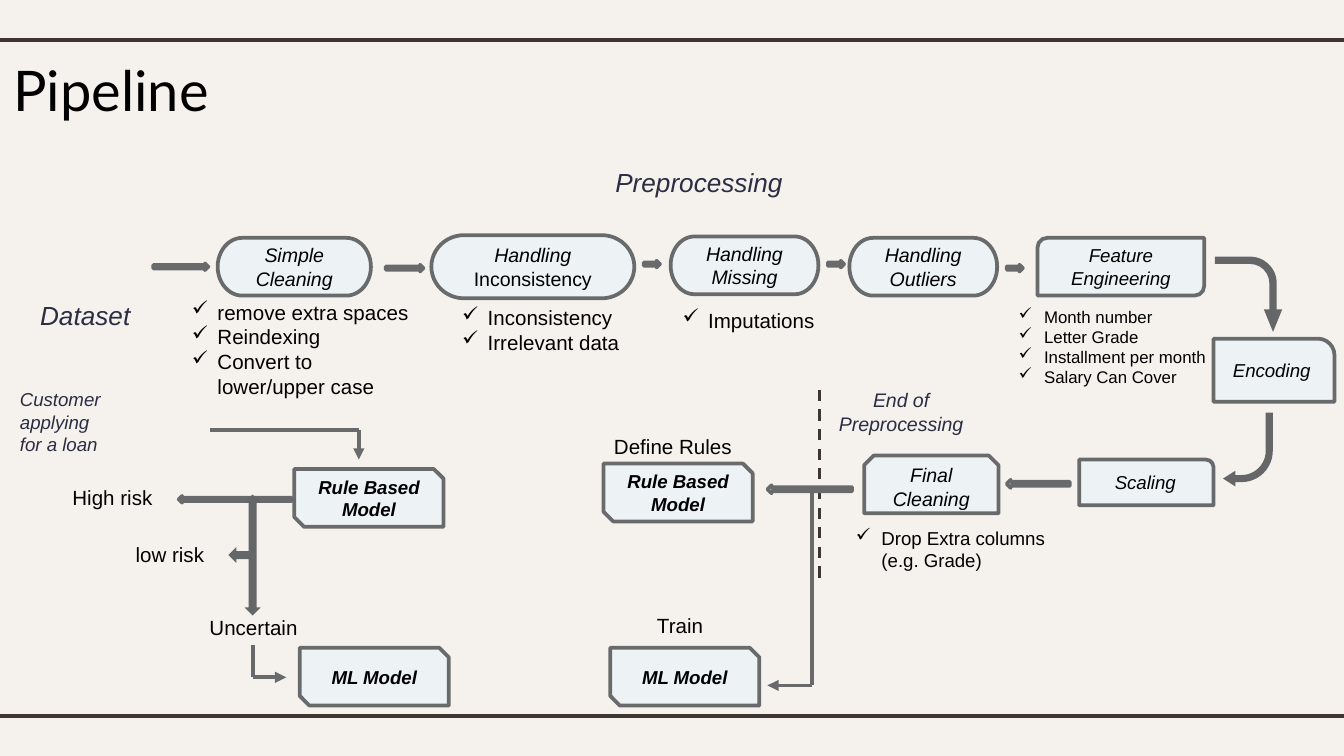
from lxml import etree
from pptx import Presentation
from pptx.dml.color import RGBColor
from pptx.enum.dml import MSO_LINE
from pptx.enum.shapes import MSO_CONNECTOR, MSO_SHAPE
from pptx.enum.text import MSO_ANCHOR, MSO_AUTO_SIZE, PP_ALIGN
from pptx.oxml.ns import qn
from pptx.util import Inches, Pt

COLORS = {"background": "F5F2EE", "rule": "3F3533", "node": "EDF2F4", "border": "686A6B",
          "arrow": "646667", "text": "000000", "caption": "2B2D42"}
CENTER, LEFT = PP_ALIGN.CENTER, PP_ALIGN.LEFT
MIDDLE, TOP = MSO_ANCHOR.MIDDLE, MSO_ANCHOR.TOP
STRAIGHT, DASH = MSO_CONNECTOR.STRAIGHT, MSO_LINE.DASH
NO_FIT, GROW = MSO_AUTO_SIZE.NONE, MSO_AUTO_SIZE.SHAPE_TO_FIT_TEXT
TERMINATOR, ROUND_DIAGONAL = MSO_SHAPE.FLOWCHART_TERMINATOR, MSO_SHAPE.ROUND_2_DIAG_RECTANGLE
ROUND_ONE, SNIP_TOP = MSO_SHAPE.ROUND_1_RECTANGLE, MSO_SHAPE.SNIP_2_SAME_RECTANGLE
SNIP_DIAGONAL, RIGHT_ARROW = MSO_SHAPE.SNIP_2_DIAG_RECTANGLE, MSO_SHAPE.RIGHT_ARROW
BENT_ARROW, THREE_WAY_ARROW = MSO_SHAPE.BENT_ARROW, MSO_SHAPE.LEFT_RIGHT_UP_ARROW
COLUMNS, ROWS = 100, 56.25
MODEL_SIZE = (11.1, 4.3)


def units(count):
    """Convert grid columns or rows to a length."""
    return Inches(count / 10)


def color(name):
    """Look up a palette colour."""
    return RGBColor.from_string(COLORS[name])


def place(box, left, top, width, height):
    """Return a frame whose position is relative to a region box."""
    return [units(n) for n in (box[0] + left, box[1] + top, width, height)]


def style(paragraph, size, name="text", italic=False, bold=False, font="Arial"):
    """Format every run of a paragraph."""
    for run in paragraph.runs:
        run.font.name, run.font.size = font, Pt(size)
        run.font.italic, run.font.bold = italic, bold
        run.font.color.rgb = color(name)


def add_bullet(paragraph):
    """Give a paragraph a hanging check mark."""
    properties = paragraph._p.get_or_add_pPr()
    properties.set("marL", str(Inches(0.19)))
    properties.set("indent", str(-Inches(0.19)))
    bullet_color = etree.SubElement(properties, qn("a:buClr"))
    etree.SubElement(bullet_color, qn("a:srgbClr"), val=COLORS["text"])
    etree.SubElement(properties, qn("a:buChar"), char="✓")


def add_label(slide, frame, lines, size=11, name="text", italic=False, align=LEFT, bullets=False):
    """Add a text box with one paragraph for each line."""
    text_frame = slide.shapes.add_textbox(*frame).text_frame
    text_frame.word_wrap, text_frame.auto_size = True, GROW
    text_frame.text = "\n".join(lines)
    for paragraph in text_frame.paragraphs:
        paragraph.alignment = align
        if bullets:
            add_bullet(paragraph)
        style(paragraph, size, name, italic)


def add_block(slide, frame, kind, fill="node", border=True, rotation=0, adjustments=()):
    """Add a flat preset shape."""
    shape = slide.shapes.add_shape(kind, *frame)
    shape.shadow.inherit = False
    shape.rotation = rotation
    for index, value in enumerate(adjustments):
        shape.adjustments[index] = value
    shape.fill.solid()
    shape.fill.fore_color.rgb = color(fill)
    if border:
        shape.line.color.rgb, shape.line.width = color("border"), Pt(2)
    else:
        shape.line.fill.background()
    return shape


def add_node(slide, frame, kind, text, size=10, bold=False, adjustments=()):
    """Add a pipeline step and return its paragraph."""
    text_frame = add_block(slide, frame, kind, adjustments=adjustments).text_frame
    text_frame.word_wrap, text_frame.vertical_anchor = True, MIDDLE
    paragraph = text_frame.paragraphs[0]
    paragraph.text, paragraph.alignment = text, CENTER
    style(paragraph, size, italic=True, bold=bold)
    return paragraph


def add_line(shapes, start, end, name="border", width=2, dash=None, head=False):
    """Add a straight line between two grid points."""
    line = shapes.add_connector(STRAIGHT, *[units(n) for n in (*start, *end)])
    line.line.color.rgb, line.line.width = color(name), Pt(width)
    if dash:
        line.line.dash_style = dash
    if head:
        etree.SubElement(line.line._get_or_add_ln(), qn("a:tailEnd"), type="triangle")
    etree.SubElement(line._element.spPr, qn("a:effectLst"))


def add_elbow(slide, box, *points):
    """Group two lines into a bent arrow."""
    start, corner, end = [(box[0] + x, box[1] + y) for x, y in points]
    shapes = slide.shapes.add_group_shape().shapes
    add_line(shapes, start, corner)
    add_line(shapes, corner, end, head=True)


def draw_frame(slide, box):
    """Draw the title and the rules above and below the content."""
    left, top, width, height = box
    for row in (top, top + height):
        add_line(slide.shapes, (left, row), (left + width, row), "rule", 2.25)
    title = slide.shapes.title
    title.left, title.top, title.width, title.height = place(box, 0, 0.6, 50.9, 6.1)
    text_frame = title.text_frame
    text_frame.text = "Pipeline"
    text_frame.auto_size, text_frame.vertical_anchor = NO_FIT, TOP
    text_frame.paragraphs[0].alignment = LEFT
    style(text_frame.paragraphs[0], 30, font="Lato")


def draw_preprocessing(slide, box):
    """Draw the row of cleaning steps with their notes."""
    add_label(slide, place(box, 2, 10.8, 8.9, 3.4), ["Dataset"], 14, "caption", True)
    add_label(slide, place(box, 44.8, 0.9, 15, 3.4), ["Preprocessing"], 14, "caption", True)
    steps = [
        ("Simple Cleaning", 16.2, 6.7, 11.4, 4.3),
        ("Handling ", 32.1, 6.5, 15.1, 4.7),
        ("Handling Missing", 49.9, 6.6, 11, 4.3),
        ("Handling Outliers", 63.2, 6.7, 11, 4.3),
    ]
    for text, *frame in steps:
        paragraph = add_node(slide, place(box, *frame), TERMINATOR, text, 10.5)
        if text == "Handling ":
            paragraph.add_run().text = "Inconsistency"
            style(paragraph, 10.5)
            paragraph.runs[0].font.italic = True
    add_node(slide, place(box, 77.2, 6.7, 12.4, 4.3), ROUND_DIAGONAL, "Feature Engineering")
    arrows = [(11.4, 8.6, 4.1), (28.7, 8.7, 2.8), (47.9, 8.4, 1.2), (61.6, 8.4, 1.2), (74.9, 8.7, 1.2)]
    for left, top, width in arrows:
        add_block(slide, place(box, left, top, width, 0.5), RIGHT_ARROW)
    notes = [
        (["remove extra spaces", "Reindexing", "Convert to lower/upper case"], 11, 13.3, 10.8, 18.6, 10.3),
        (["Inconsistency", "Irrelevant data"], 11, 33.4, 11.2, 15.2, 6.6),
        (["Imputations"], 11, 49.8, 11.4, 15.2, 2.9),
        (["Month number", "Letter Grade", "Installment per month", "Salary Can Cover"],
         9, 74.8, 11.3, 16.2, 7.1),
    ]
    for lines, size, *frame in notes:
        add_label(slide, place(box, *frame), lines, size, bullets=True)
    add_block(slide, place(box, 90.1, 8.4, 5.6, 5), BENT_ARROW, "arrow", False, 90,
              (0.11, 0.137, 0.334, 0.396))


def draw_finishing(slide, box):
    """Draw encoding, scaling and the final cleaning."""
    add_node(slide, place(box, 30.3, 0.2, 9, 4.7), ROUND_ONE, "Encoding", adjustments=(0.263,))
    add_block(slide, place(box, 31, 5.7, 3.7, 5.5), BENT_ARROW, "arrow", False, 180,
              (0.142, 0.16, 0.25, 0.63))
    add_node(slide, place(box, 20.3, 9.2, 10, 3.4), ROUND_ONE, "Scaling")
    add_block(slide, place(box, 14.9, 10.7, 4.7, 0.6), RIGHT_ARROW, rotation=180)
    add_node(slide, place(box, 4.3, 8.9, 10, 4.3), SNIP_TOP, "Final Cleaning", 10.5)
    add_label(slide, place(box, 2.7, 13.7, 16.1, 4.4), ["Drop Extra columns (e.g. Grade)"], 10, bullets=True)
    add_label(slide, place(box, 1.3, 3.4, 11.5, 4.5), ["End of Preprocessing"], 10.5, "caption", True, CENTER)
    add_line(slide.shapes, (box[0] + 1, box[1] + 4), (box[0] + 1, box[1] + 18), "rule", 1.5, DASH)


def draw_training(slide, box):
    """Draw the rule definition and the model training."""
    add_label(slide, place(box, 0.7, 0.8, 12.7, 2.9), ["Define Rules"])
    add_node(slide, place(box, 0.9, 3.5, *MODEL_SIZE), SNIP_DIAGONAL, "Rule Based Model", bold=True)
    add_block(slide, place(box, 13.1, 5.1, 6.3, 0.6), RIGHT_ARROW, rotation=180)
    add_elbow(slide, box, (16.4, 5.7), (16.4, 20), (13.1, 20))
    add_label(slide, place(box, 3.9, 14.1, 6, 2.9), ["Train"])
    add_node(slide, place(box, 1.4, 17.2, *MODEL_SIZE), SNIP_DIAGONAL, "ML Model", bold=True)


def draw_application(slide, box):
    """Draw how a loan application is judged."""
    add_label(slide, place(box, 0.5, 0.4, 9.1, 6.1), ["Customer applying for a loan"], 10, "caption", True)
    add_elbow(slide, box, (15.6, 4), (26.7, 4), (26.7, 6.2))
    add_node(slide, place(box, 21.9, 6.9, *MODEL_SIZE), SNIP_DIAGONAL, "Rule Based Model", bold=True)
    add_block(slide, place(box, 13.3, 8.9, 8.4, 0.5), RIGHT_ARROW, rotation=180)
    add_block(slide, place(box, 13.7, 12.1, 9, 2.4), THREE_WAY_ARROW, "arrow", False, 270)
    for text, left, top in [("High risk", 4.4, 7.6), ("low risk", 9.1, 11.8), ("Uncertain", 14.6, 17.3)]:
        add_label(slide, place(box, left, top, 9.2, 2.9), [text])
    add_elbow(slide, box, (18.8, 20), (18.8, 22.4), (21.3, 22.4))
    add_node(slide, place(box, 22.3, 20.2, *MODEL_SIZE), SNIP_DIAGONAL, "ML Model", bold=True)


def main():
    """Build the pipeline slide."""
    presentation = Presentation()
    presentation.slide_width, presentation.slide_height = units(COLUMNS), units(ROWS)
    slide = presentation.slides.add_slide(presentation.slide_layouts[5])
    slide.background.fill.solid()
    slide.background.fill.fore_color.rgb = color("background")
    draw_frame(slide, (0, 3, COLUMNS, 50.3))
    draw_preprocessing(slide, (0, 11, COLUMNS, 21))
    draw_finishing(slide, (60, 25, 40, 19))
    draw_training(slide, (44, 31, 20, 22))
    draw_application(slide, (0, 28, 35, 25))
    presentation.save("out.pptx")


if __name__ == "__main__":
    main()
